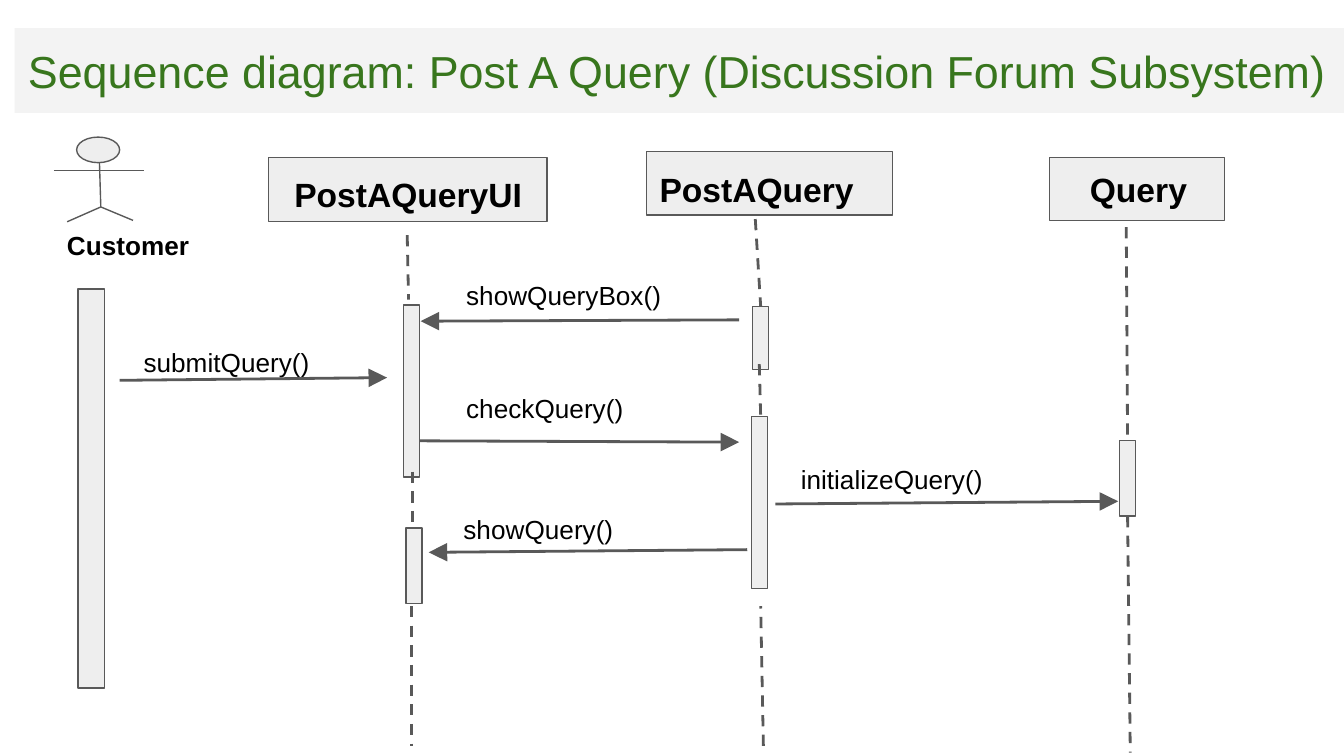
from pptx import Presentation
from pptx.dml.color import RGBColor
from pptx.enum.dml import MSO_LINE
from pptx.enum.shapes import MSO_CONNECTOR, MSO_SHAPE
from pptx.enum.text import MSO_ANCHOR, PP_ALIGN
from pptx.oxml.ns import qn
from pptx.util import Inches, Pt
from lxml.etree import SubElement

COLORS = {
    "title_band": "F3F3F3",
    "title": "38761D",
    "fill": "EEEEEE",
    "line": "595959",
    "text": "000000",
}
BAR_WIDTH = 0.12


def color(name):
    return RGBColor.from_string(COLORS[name])


def write(shape, text, size, bold=False, name="text", anchor=MSO_ANCHOR.TOP,
          left=0.1, top=0.1, bottom=0.1):
    frame = shape.text_frame
    frame.word_wrap = True
    frame.vertical_anchor = anchor
    frame.margin_left, frame.margin_right = Inches(left), Inches(0.1)
    frame.margin_top, frame.margin_bottom = Inches(top), Inches(bottom)
    paragraph = frame.paragraphs[0]
    paragraph.alignment = PP_ALIGN.LEFT
    run = paragraph.add_run()
    run.text = text
    run.font.name = "Arial"
    run.font.size = Pt(size)
    run.font.bold = bold
    run.font.color.rgb = color(name)


def add_block(slide, box, kind=MSO_SHAPE.RECTANGLE, fill="fill", outlined=True):
    shape = slide.shapes.add_shape(kind, *map(Inches, box))
    shape.shadow.inherit = False
    shape.fill.solid()
    shape.fill.fore_color.rgb = color(fill)
    if outlined:
        shape.line.color.rgb = color("line")
        shape.line.width = Pt(0.75)
    else:
        shape.line.fill.background()
    return shape


def add_line(slide, origin, start, end, width=1.5, dashed=False, arrow=False):
    left, top = origin
    points = (left + start[0], top + start[1], left + end[0], top + end[1])
    connector = slide.shapes.add_connector(MSO_CONNECTOR.STRAIGHT, *map(Inches, points))
    connector.line.color.rgb = color("line")
    connector.line.width = Pt(width)
    if dashed:
        connector.line.dash_style = MSO_LINE.DASH
    properties = connector._element.spPr
    if arrow:
        SubElement(properties.find(qn("a:ln")), qn("a:tailEnd"),
                   type="triangle", w="lg", len="lg")
    SubElement(properties, qn("a:effectLst"))


def add_title(slide, box, text):
    band = add_block(slide, box, fill="title_band", outlined=False)
    write(band, text, 24, name="title", anchor=MSO_ANCHOR.MIDDLE)


def add_actor(slide, box, name):
    left, top, width, height = box
    hip = (0.35, 0.52)
    limbs = [
        ((0.34, 0.18), hip),
        ((0.22, 0.16), (0.34, 0.18)),
        ((0, 0.25), (0.67, 0.25)),
        (hip, (0.1, 0.63)),
        (hip, (0.59, 0.62)),
    ]
    for start, end in limbs:
        add_line(slide, (left, top), start, end, width=0.75)
    add_block(slide, (left + 0.17, top, 0.32, 0.19), MSO_SHAPE.OVAL)
    label = slide.shapes.add_textbox(*map(Inches, (left, top + 0.59, width, 0.47)))
    write(label, name, 14, bold=True)
    add_block(slide, (left + 0.18, top + 1.13, 0.2, height - 1.13))


def add_participant(slide, box, name, indent, drop, lifeline):
    left, top = box[:2]
    header = add_block(slide, box)
    write(header, name, 18, bold=True, anchor=MSO_ANCHOR.MIDDLE,
          left=indent, top=drop, bottom=0)
    for kind, *part in lifeline:
        if kind == "bar":
            x, y, height = part
            add_block(slide, (left + x, top + y, BAR_WIDTH, height))
        else:
            add_line(slide, (left, top), *part, dashed=True)


def add_message(slide, box, text, start, end):
    label = slide.shapes.add_textbox(*map(Inches, box))
    write(label, text, 14)
    add_line(slide, box[:2], start, end, arrow=True)


def main():
    presentation = Presentation()
    presentation.slide_width = Inches(10)
    presentation.slide_height = presentation.slide_width * 9 // 16
    slide = presentation.slides.add_slide(presentation.slide_layouts[6])

    add_title(slide, (0.11, 0.21, 10, 0.63),
              "Sequence diagram: Post A Query (Discussion Forum Subsystem)")
    add_actor(slide, (0.4, 1.02, 1.53, 4.1), "Customer")

    messages = [
        ((3.37, 1.98, 2.07, 0.27), "showQueryBox()", (2.13, 0.4), (-0.24, 0.41)),
        ((0.97, 2.49, 1.83, 0.19), "submitQuery()", (-0.08, 0.34), (1.91, 0.32)),
        ((3.37, 2.83, 2.18, 0.19), "checkQuery()", (-0.27, 0.45), (2.13, 0.46)),
        ((5.86, 3.35, 2.31, 0.27), "initializeQuery()", (-0.09, 0.4), (2.46, 0.38)),
        ((3.35, 3.72, 2.07, 0.27), "showQuery()", (2.21, 0.37), (-0.16, 0.39)),
    ]
    for message in messages:
        add_message(slide, *message)

    participants = [
        ((2, 1.17, 2.07, 0.48), "PostAQueryUI", 0.19, 0.07, [
            ("dash", (1.03, 0.58), (1.04, 1.06)),
            ("bar", 1, 1.1, 1.28),
            ("dash", (1.07, 2.34), (1.07, 2.8)),
            ("bar", 1.02, 2.76, 0.56),
            ("dash", (1.06, 3.34), (1.06, 4.38)),
        ]),
        ((4.81, 1.13, 1.83, 0.47), "PostAQuery", 0.1, 0.08, [
            ("dash", (0.81, 0.5), (0.85, 1.15)),
            ("bar", 0.79, 1.15, 0.47),
            ("dash", (0.84, 1.58), (0.85, 1.97)),
            ("bar", 0.78, 1.97, 1.28),
            ("dash", (0.87, 4.42), (0.85, 3.38)),
        ]),
        ((7.81, 1.17, 1.3, 0.47), "Query", 0.3, 0, [
            ("dash", (0.57, 0.52), (0.58, 2.11)),
            ("bar", 0.52, 2.11, 0.56),
            ("dash", (0.58, 2.67), (0.6, 4.43)),
        ]),
    ]
    for participant in participants:
        add_participant(slide, *participant)

    presentation.save("out.pptx")


if __name__ == "__main__":
    main()
